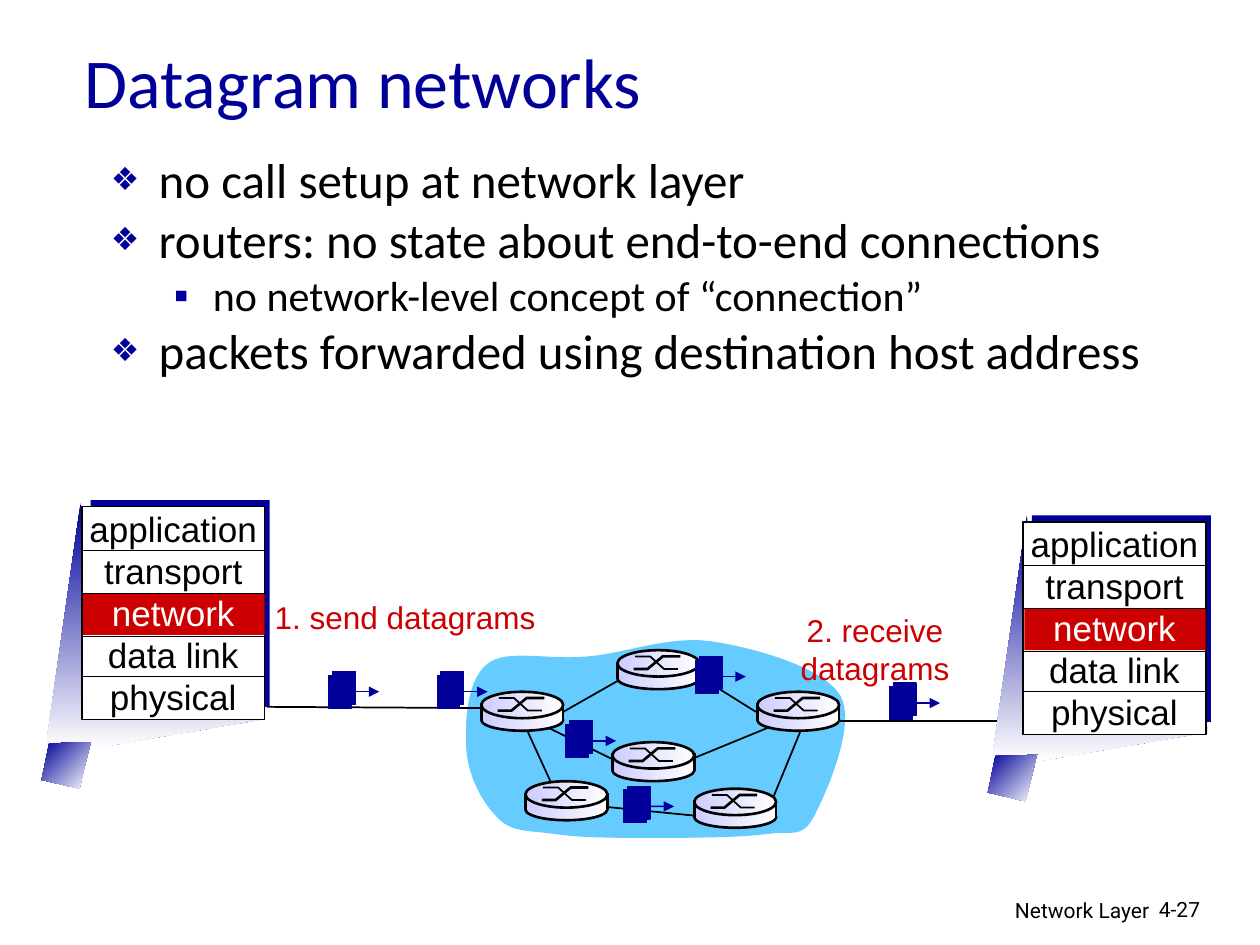
"""Build the slide on datagram networks."""
import lxml.etree
import pptx
import pptx.dml.color
import pptx.enum.shapes
import pptx.enum.text
import pptx.oxml.ns
import pptx.util

Inches = pptx.util.Inches
Pt = pptx.util.Pt
qn = pptx.oxml.ns.qn
KIND = pptx.enum.shapes.MSO_SHAPE
ALIGN = pptx.enum.text.PP_ALIGN
HUES = {"navy": "000099", "red": "CC0000", "sky": "66CCFF", "lilac": "CCCCFF",
        "white": "FFFFFF", "black": "000000"}
TINT = {name: pptx.dml.color.RGBColor.from_string(code) for name, code in HUES.items()}

deck = pptx.Presentation()
deck.slide_width, deck.slide_height = Inches(10), Inches(7.5)
slide = deck.slides.add_slide(deck.slide_layouts[1])
shapes = slide.shapes


def make(kind, *nums):
    """Add a line, an open or closed path, or a preset shape, in inches."""
    if kind in ("open", "closed"):
        dots = [(Inches(x), Inches(y)) for x, y in nums]
        form = shapes.build_freeform(*dots[0])
        form.add_line_segments(dots[1:], close=kind == "closed")
        return form.convert_to_shape()
    sizes = [Inches(num) for num in nums]
    if kind == "line":
        return shapes.add_connector(pptx.enum.shapes.MSO_CONNECTOR.STRAIGHT, *sizes)
    return shapes.add_shape(kind, *sizes)


def paint(item, fill=None, edge=None, width=1, angle=0):
    """Set fill, outline and no shadow; two fill names make a gradient."""
    if edge:
        item.line.color.rgb = TINT[edge]
        item.line.width = Pt(width)
    else:
        item.line.fill.background()
    if isinstance(item, pptx.shapes.connector.Connector):
        lxml.etree.SubElement(item._element.spPr, qn("a:effectLst"))
        return item
    item.shadow.inherit = False
    if fill is None:
        item.fill.background()
    elif isinstance(fill, tuple):
        item.fill.gradient()
        item.fill.gradient_angle = (360 - angle) % 360
        for stop, name, place in zip(item.fill.gradient_stops, fill, (0, 1)):
            stop.color.rgb = TINT[name]
            stop.position = place
    else:
        item.fill.solid()
        item.fill.fore_color.rgb = TINT[fill]
    return item


title, body = shapes.title, slide.placeholders[1]
for holder, area in ((title, (0.57, 0.15, 8.5, 0.98)), (body, (0.78, 1.21, 8.83, 2.49))):
    holder.left, holder.top, holder.width, holder.height = map(Inches, area)
    holder.text_frame.auto_size = pptx.enum.text.MSO_AUTO_SIZE.NONE
title.text_frame.text = "Datagram networks"
title.text_frame.vertical_anchor = pptx.enum.text.MSO_ANCHOR.MIDDLE
head = title.text_frame.paragraphs[0]
head.alignment = ALIGN.LEFT
head.font.size, head.font.name, head.font.color.rgb = Pt(40), "Calibri", TINT["navy"]

points = [
    (0, "no call setup at network layer"),
    (0, "routers: no state about end-to-end connections"),
    (1, "no network-level concept of “connection”"),
    (0, "packets forwarded using destination host address"),
]
looks = [("❖", 28, 0.38, 0.38, 65), ("▪", 24, 0.81, 0.31, 100)]
body.text_frame.text = "\n".join(text for level, text in points)
for rank, (para, (level, text)) in enumerate(zip(body.text_frame.paragraphs, points)):
    mark, size, left, hang, scale = looks[level]
    para.level = level
    para.line_spacing = 0.85
    para.space_before = Pt(size * 0.2 if rank else 0)
    props = para._p.get_or_add_pPr()
    props.set("marL", str(Inches(left)))
    props.set("indent", str(-Inches(hang)))
    tint = lxml.etree.SubElement(props, qn("a:buClr"))
    lxml.etree.SubElement(tint, qn("a:srgbClr"), val=HUES["navy"])
    lxml.etree.SubElement(props, qn("a:buSzPct"), val=str(scale * 1000))
    lxml.etree.SubElement(props, qn("a:buChar"), char=mark)
    para.font.size, para.font.name, para.font.color.rgb = Pt(size), "Calibri", TINT["black"]

bend = [
    (3.7, 5.88), (3.69, 5.67), (3.72, 5.37), (3.88, 5.26), (4.03, 5.15), (4.36, 5.24),
    (4.66, 5.21), (4.95, 5.19), (5.31, 5.04), (5.65, 5.09), (5.98, 5.14), (6.53, 5.29),
    (6.67, 5.52), (6.8, 5.75), (6.56, 6.29), (6.46, 6.48), (6.36, 6.66), (6.3, 6.59),
    (6.08, 6.62), (5.86, 6.65), (5.43, 6.65), (5.15, 6.65), (4.87, 6.65), (4.61, 6.65),
    (4.41, 6.62), (4.2, 6.59), (4.05, 6.61), (3.94, 6.48), (3.82, 6.36), (3.69, 6.12),
    (3.7, 5.88),
]
rim = []
for start in range(0, len(bend) - 1, 3):
    for step in range(12):
        t = step / 12
        parts = ((1 - t) ** 3, 3 * t * (1 - t) ** 2, 3 * t * t * (1 - t), t ** 3)
        rim.append([sum(p * dot[axis] for p, dot in zip(parts, bend[start:start + 4]))
                    for axis in (0, 1)])
paint(make("closed", *rim), "sky")

links = [
    (2.12, 5.61, 3.85, 5.62), (4.47, 5.65, 4.98, 5.36), (5.52, 5.35, 6, 5.65),
    (4.36, 5.78, 4.89, 6.04), (5.5, 6.02, 6.11, 5.77), (6.12, 6.37, 6.35, 5.81),
    (5.58, 6.48, 4.77, 6.4), (4.4, 6.27, 4.19, 5.81), (8.12, 5.72, 6.63, 5.72),
]
for link in links:
    paint(make("line", *link), edge="black")

beam = [(0, 1.89), (0.27, 0), (0.36, 1.56), (1.67, 1.58), (1.71, 1.72), (0.36, 1.95)]
foot = [(0.35, 1.9), (0.02, 1.91), (-0.04, 2.2), (0.26, 2.27)]
fade = ("navy", "white")
for x, y, far, top in ((8.12, 4.14, 7.88, 4.09), (0.65, 4.02, 0.37, 3.99)):
    for dots, angle in ((beam, 90), (foot, 45)):
        paint(make("closed", *[(far + a, top + b) for a, b in dots]), fade, angle=angle)
    paint(make(KIND.RECTANGLE, x + 0.07, y - 0.05, 1.42, 1.64), "navy")
    paint(make(KIND.RECTANGLE, x, y, 1.45, 1.69), "white", "black")
    paint(make(KIND.RECTANGLE, x + 0.01, y + 0.69, 1.44, 0.33), "red")
    for drop in (0.35, 0.69, 1.03, 1.35):
        paint(make("line", x, y + drop, x + 1.45, y + drop), edge="black", width=0.75)

shade = ("lilac", "white")
for x, y in ((6.01, 5.49), (4.86, 5.89), (3.82, 5.49), (4.9, 5.16), (5.51, 6.26), (4.17, 6.2)):
    paint(make(KIND.OVAL, x, y + 0.14, 0.65, 0.17), shade, "black", 1.5)
    paint(make(KIND.RECTANGLE, x, y + 0.12, 0.65, 0.11), shade)
    paint(make(KIND.OVAL, x, y, 0.65, 0.21), shade, "black", 1.5)
    low, high = y + 0.15, y + 0.05
    paint(make("open", (x + 0.13, low), (x + 0.24, low), (x + 0.36, high), (x + 0.5, high)),
          edge="black", width=1.5)
    paint(make("open", (x + 0.14, high), (x + 0.26, high), (x + 0.37, low), (x + 0.48, low)),
          edge="black")
    for side in (x, x + 0.65):
        paint(make("line", side, y + 0.09, side, y + 0.23), edge="black", width=1.5)

for x, y in ((2.61, 5.36), (3.47, 5.36), (5.52, 5.24), (4.95, 6.27), (4.49, 5.75), (7.06, 5.45)):
    for shift in (0.03, 0):
        card = paint(make(KIND.RECTANGLE, x + shift, y - shift, 0.18, 0.26), "navy", "navy", 0.75)
    arrow = make("line", x + 0.18, y + 0.13, x + 0.4, y + 0.13)
    arrow.begin_connect(card, 3)
    paint(arrow, edge="navy", width=0.75)
    lxml.etree.SubElement(arrow._element.spPr.find(qn("a:ln")), qn("a:tailEnd"), type="triangle")

layers = "application\ntransport\nnetwork\ndata link\nphysical"
notes = [
    (layers, (7.99, 4.1, 1.71, 1.77), 20, "Arial", "black", ALIGN.CENTER, True),
    (layers, (0.52, 3.98, 1.71, 1.77), 20, "Arial", "black", ALIGN.CENTER, True),
    ("1. send datagrams", (2.08, 4.7, 2.27, 0.4), 18, "Arial", "red", ALIGN.CENTER, False),
    ("2. receive datagrams", (5.68, 4.8, 2.53, 0.4), 18, "Arial", "red", ALIGN.CENTER, False),
    ("Network Layer", (6.05, 7.07, 3.17, 0.31), 12, "Roboto", "black", ALIGN.RIGHT, True),
    ("4-27", (9.1, 7.07, 0.74, 0.3), 12, "Roboto", "black", ALIGN.LEFT, True),
]
for text, area, size, face, tone, align, wrap in notes:
    frame = shapes.add_textbox(*map(Inches, area)).text_frame
    frame.word_wrap = wrap
    frame.text = text
    for para in frame.paragraphs:
        para.alignment = align
        para.font.size, para.font.name = Pt(size), face
        para.font.color.rgb = TINT["white" if para.text == "network" else tone]

deck.save("out.pptx")
